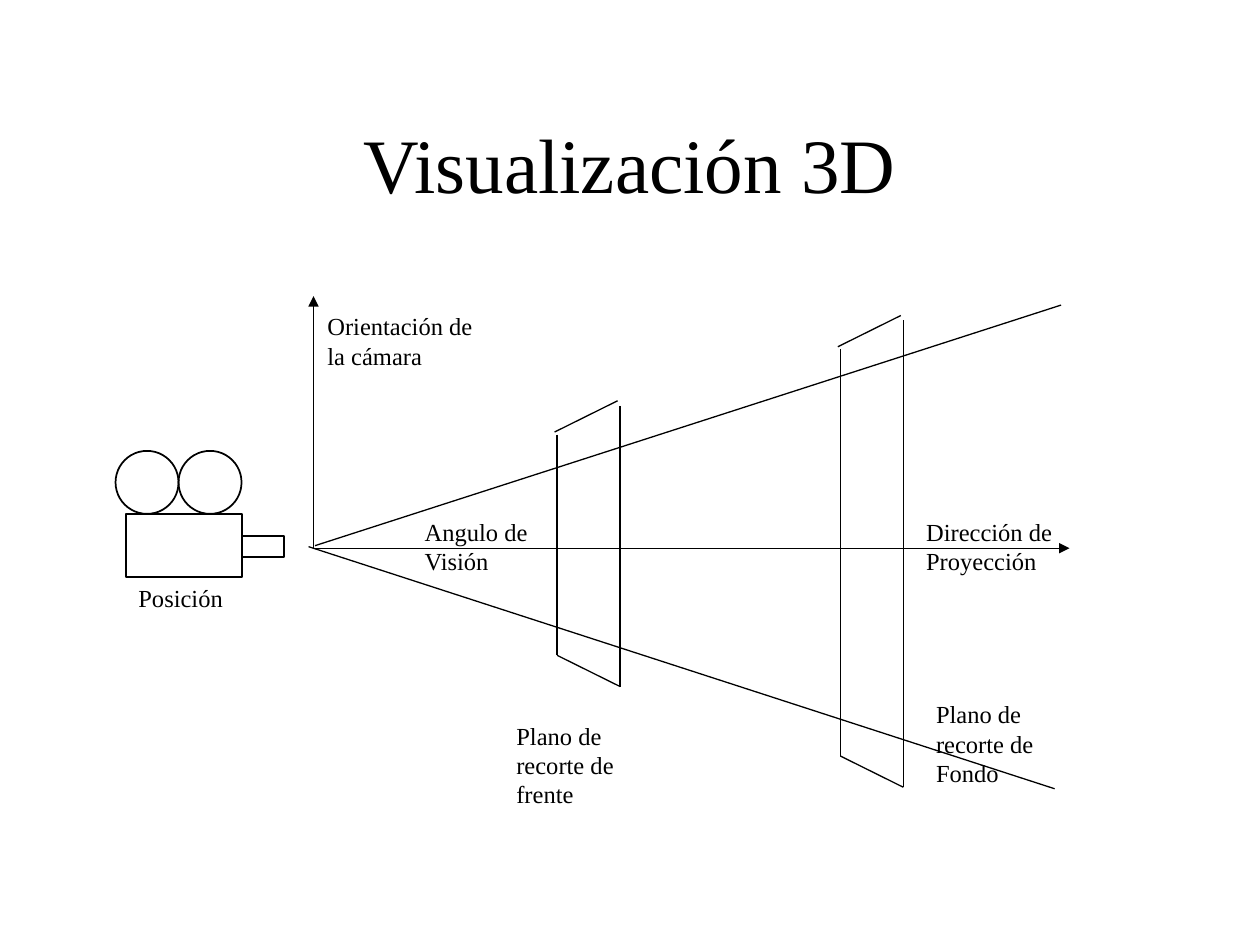
from lxml import etree
from pptx import Presentation
from pptx import util as u
from pptx.dml.color import RGBColor
from pptx.enum import shapes, text
from pptx.oxml.ns import qn

COLORS = {"ink": "000000"}
FONT = "Times New Roman"

# All lengths are in centimetres.
TITLE = ("Visualización 3D", (1.9, 1.7, 21.59, 3.18))
REEL = 1.27
CAMERA = [
    ("RECTANGLE", (2.54, 10.36, 2.34, 1.27)),
    ("OVAL", (2.33 + REEL, 9.09, REEL, REEL)),
    ("OVAL", (2.33, 9.09, REEL, REEL)),
    ("RECTANGLE", (4.88, 10.8, 0.84, 0.43)),
]
AXES = [  # start, end, arrowhead
    ((6.32, 5.97), (6.32, 11.05), "headEnd"),
    ((6.32, 11.05), (21.56, 11.05), "tailEnd"),
]
VIEW_EDGES = [
    ((6.35, 11), (21.39, 6.15)),
    ((6.22, 11.02), (21.26, 15.9)),
]
CLIP_PLANES = [  # left, top and bottom of the near edge
    (11.23, 8.76, 13.21),
    (16.94, 7.04, 15.24),
]
PLANE_WIDTH, PLANE_SLANT, CORNER_GAP = 1.27, 0.63, 0.05
LABEL_WIDTH = 3.61
LABELS = [  # wording, left, top, height
    ("Orientación de la cámara", 6.35, 6.15, 1.45),
    ("Angulo de Visión", 8.31, 10.29, 1.45),
    ("Posición", 2.54, 11.63, 0.86),
    ("Plano de recorte de frente", 10.16, 14.4, 2.03),
    ("Dirección de Proyección", 18.42, 10.29, 1.45),
    ("Plano de recorte de Fondo", 18.62, 13.97, 2.03),
]
TITLE_FORMAT = {"alignment": text.PP_ALIGN.CENTER}
LABEL_FORMAT = {"alignment": text.PP_ALIGN.LEFT, "space_before": u.Pt(8.8)}


def cm(values):
    return [u.Cm(v) for v in values]


def set_line(line, width):
    line.color.rgb = RGBColor.from_string(COLORS["ink"])
    line.width = u.Pt(width)


def add_text(s, wording, box, size, para_format, anchor):
    tf = s.shapes.add_textbox(*cm(box)).text_frame
    tf.word_wrap = True
    tf.vertical_anchor = anchor
    p = tf.paragraphs[0]
    for name, value in para_format.items():
        setattr(p, name, value)
    r = p.add_run()
    r.text = wording
    for name, value in {"name": FONT, "size": u.Pt(size)}.items():
        setattr(r.font, name, value)
    r.font.color.rgb = RGBColor.from_string(COLORS["ink"])
    return tf


def add_outline(s, kind, box):
    sp = s.shapes.add_shape(getattr(shapes.MSO_SHAPE, kind), *cm(box))
    sp.shadow.inherit = False
    sp.fill.background()
    set_line(sp.line, 1)


def add_line(s, start, end, arrow=None):
    """Draw a thin line; arrow is "headEnd" or "tailEnd"."""
    c = s.shapes.add_connector(shapes.MSO_CONNECTOR.STRAIGHT, *cm(start + end))
    set_line(c.line, 0.75)
    props = c._element.spPr
    if arrow:
        etree.SubElement(props.find(qn("a:ln")), qn(f"a:{arrow}"), type="triangle")
    etree.SubElement(props, qn("a:effectLst"))


def plane_edges(left, top, bottom):
    right = left + PLANE_WIDTH
    high, low = top - PLANE_SLANT, bottom + PLANE_SLANT
    gap = CORNER_GAP
    return [
        ((left, top), (left, bottom)),
        ((right, high + gap), (right, low)),
        ((left, bottom), (right, low)),
        ((left - gap, top - gap), (right - gap, high - gap)),
    ]


def main():
    prs = Presentation()
    prs.slide_width, prs.slide_height = cm((25.4, 19.05))
    s = prs.slides.add_slide(prs.slide_layouts[6])

    add_text(s, *TITLE, 44, TITLE_FORMAT, text.MSO_ANCHOR.MIDDLE)
    for kind, box in CAMERA:
        add_outline(s, kind, box)
    for line in AXES + VIEW_EDGES:
        add_line(s, *line)
    for plane in CLIP_PLANES:
        for edge in plane_edges(*plane):
            add_line(s, *edge)
    for wording, left, top, height in LABELS:
        tf = add_text(s, wording, (left, top, LABEL_WIDTH, height), 14,
                      LABEL_FORMAT, text.MSO_ANCHOR.TOP)
        tf.auto_size = text.MSO_AUTO_SIZE.SHAPE_TO_FIT_TEXT

    prs.save("out.pptx")


if __name__ == "__main__":
    main()
